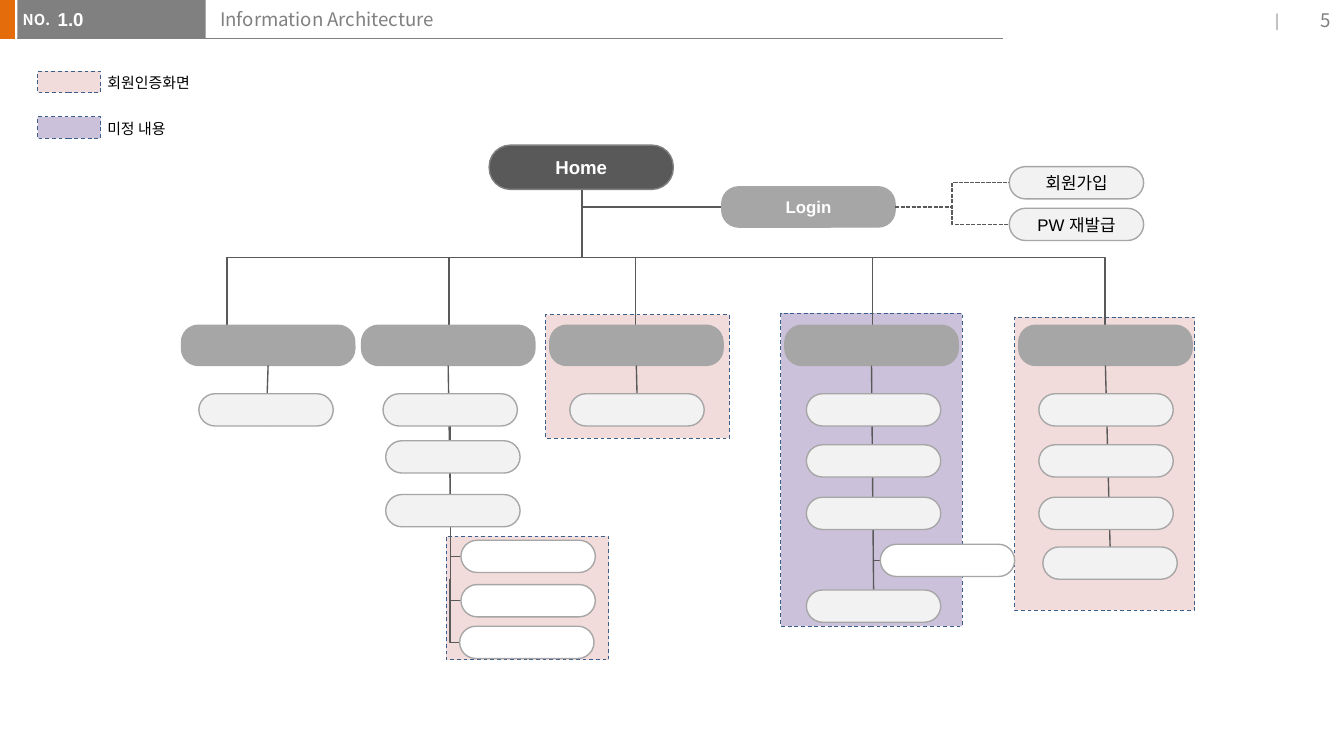
from dataclasses import dataclass

from lxml import etree
from pptx import Presentation
from pptx.dml.color import RGBColor
from pptx.enum.dml import MSO_LINE
from pptx.enum.shapes import MSO_CONNECTOR, MSO_SHAPE
from pptx.enum.text import MSO_ANCHOR, PP_ALIGN
from pptx.oxml.ns import qn
from pptx.util import Inches, Pt

RECT, ROUNDED = MSO_SHAPE.RECTANGLE, MSO_SHAPE.ROUNDED_RECTANGLE
STRAIGHT, ELBOW = MSO_CONNECTOR.STRAIGHT, MSO_CONNECTOR.ELBOW
DASH, SHORT_DASH = MSO_LINE.DASH, MSO_LINE.SQUARE_DOT
LEFT, CENTER, RIGHT = PP_ALIGN.LEFT, PP_ALIGN.CENTER, PP_ALIGN.RIGHT
TOP, MIDDLE = MSO_ANCHOR.TOP, MSO_ANCHOR.MIDDLE
TOP_SITE, BOTTOM_SITE = 0, 2


@dataclass(frozen=True)
class Theme:
    """Colours, fonts and type sizes of the slide."""
    orange: str = "E46C0A"
    gray: str = "808080"
    dark: str = "595959"
    section: str = "A6A6A6"
    page: str = "F2F2F2"
    white: str = "FFFFFF"
    black: str = "000000"
    member: str = "F2DCDB"
    undecided: str = "CCC1DA"
    panel_edge: str = "3A5F8C"
    latin: str = "Arial"
    korean: str = "Noto Sans CJK KR"
    heading: int = 10
    label: int = 9
    small: int = 8


THEME = Theme()
SECTION_TOP, SECTION_SIZE = 2.42, (1.29, 0.3)
PAGE_SIZE = (1, 0.24)
HOME_BASE = (4.33, 1.41)


def write(frame, text, size, color, font=THEME.latin, bold=False, align=LEFT, before=0):
    """Add one run of styled text to the first paragraph."""
    paragraph = frame.paragraphs[0]
    paragraph.alignment = align
    paragraph.space_before = Pt(before)
    run = paragraph.add_run()
    run.text = text
    run.font.name, run.font.size, run.font.bold = font, Pt(size), bold
    run.font.color.rgb = RGBColor.from_string(color)
    etree.SubElement(run.font._element, qn("a:ea")).set("typeface", THEME.korean)


def add_label(slide, box, text, size, color, inset=(0.1, 0.05), wrap=True, anchor=TOP, **style):
    """Add a text box holding one run."""
    frame = slide.shapes.add_textbox(*map(Inches, box)).text_frame
    frame.word_wrap, frame.vertical_anchor = wrap, anchor
    frame.margin_left = frame.margin_right = Inches(inset[0])
    frame.margin_top = frame.margin_bottom = Inches(inset[1])
    write(frame, text, size, color, **style)


def add_block(slide, box, fill, edge=None, width=0.5, dash=None, kind=RECT):
    """Add a filled shape, outlined only when an edge colour is given."""
    block = slide.shapes.add_shape(kind, *map(Inches, box))
    block.shadow.inherit = False
    block.fill.solid()
    block.fill.fore_color.rgb = RGBColor.from_string(fill)
    if edge is None:
        block.line.fill.background()
    else:
        block.line.color.rgb = RGBColor.from_string(edge)
        block.line.width = Pt(width)
        block.line.dash_style = dash
    return block


def add_panel(slide, box, fill):
    """Add a dashed panel marking a group of screens."""
    return add_block(slide, box, fill, THEME.panel_edge, dash=DASH)


def add_node(slide, box, fill, edge=THEME.section, rounding=0.5, text="", **style):
    """Add a rounded node of the tree with an optional centred label."""
    node = add_block(slide, box, fill, edge, 0.75, kind=ROUNDED)
    node.adjustments[0] = rounding
    frame = node.text_frame
    frame.vertical_anchor = MIDDLE
    frame.margin_left = frame.margin_right = Inches(0.02)
    frame.margin_top = frame.margin_bottom = Inches(0.02)
    if text:
        write(frame, text, align=CENTER, before=1, **style)
    return node


def add_section(slide, left, top=SECTION_TOP, **label):
    """Add a gray section node."""
    return add_node(slide, (left, top, *SECTION_SIZE), THEME.section, rounding=0.42, **label)


def add_page(slide, left, top, fill=THEME.page, **label):
    """Add a page node."""
    return add_node(slide, (left, top, *PAGE_SIZE), fill, **label)


def add_link(slide, start, end, kind=STRAIGHT, color=THEME.dark, width=0.75, dash=None):
    """Add a shadowless connector between two points."""
    link = slide.shapes.add_connector(kind, *map(Inches, (*start, *end)))
    link.line.color.rgb = RGBColor.from_string(color)
    link.line.width = Pt(width)
    link.line.dash_style = dash
    etree.SubElement(link._element.spPr, qn("a:effectLst"))
    return link


def add_drop(slide, start, end, single_bend=False):
    """Add an elbow that leaves its start downwards."""
    (x1, y1), (x2, y2) = start, end
    middle_x, middle_y = (x1 + x2) / 2, (y1 + y2) / 2
    half_drop, half_span = (y2 - y1) / 2, abs(x2 - x1) / 2
    turn = 1 if x2 < x1 else -1
    link = add_link(slide, (middle_x - turn * half_drop, middle_y - half_span),
                    (middle_x + turn * half_drop, middle_y + half_span), ELBOW)
    properties = link._element.spPr
    properties.find(qn("a:xfrm")).set("rot", str(turn * 90 % 360 * 60000))
    if single_bend:
        properties.find(qn("a:prstGeom")).set("prst", "bentConnector2")


def add_column(slide, section_left, pages, stem_end=None):
    """Add a section with its pages on one line, glued to the last page by default."""
    section = add_section(slide, section_left)
    *upper_pages, last_page = pages
    stem = add_link(slide, (section_left, SECTION_TOP), stem_end or last_page)
    stem.begin_connect(section, BOTTOM_SITE)
    last = add_page(slide, *last_page)
    if stem_end is None:
        stem.end_connect(last, TOP_SITE)
    for left, top in upper_pages:
        add_page(slide, left, top)


def add_header(slide):
    """Add the title bar with section number, title and page number."""
    add_block(slide, (-0.01, 0, 0.12, 0.29), THEME.orange)
    add_link(slide, (0.13, 0.29), (7.46, 0.29), color=THEME.gray, width=0.5)
    add_block(slide, (0.13, 0, 1.4, 0.29), THEME.gray)
    add_label(slide, (0.07, 0.03, 0.41, 0.24), "NO.", THEME.small, THEME.white,
              wrap=False, font=THEME.korean, bold=True)
    add_label(slide, (0.43, 0.01, 1.1, 0.31), "1.0", THEME.heading, THEME.white,
              inset=(0, 0.05), bold=True, before=2)
    add_label(slide, (1.54, 0.02, 5.91, 0.32), "Information Architecture", THEME.heading,
              THEME.gray, inset=(0.1, 0.04), font=THEME.korean)
    add_label(slide, (9.39, 0, 0.24, 0.3), "|", THEME.small, THEME.gray,
              anchor=MIDDLE, font=THEME.korean)
    add_label(slide, (9.4, 0, 0.6, 0.3), "5", THEME.heading, THEME.gray,
              anchor=MIDDLE, font=THEME.korean, align=RIGHT)


def add_legend(slide):
    """Add the key to the panel colours."""
    entries = [("회원인증화면", THEME.member, 0.53, 0.88), ("미정 내용", THEME.undecided, 0.87, 0.73)]
    for meaning, fill, top, width in entries:
        add_panel(slide, (0.28, top, 0.47, 0.16), fill)
        add_label(slide, (0.7, top - 0.03, width, 0.24), meaning, THEME.small, THEME.black,
                  wrap=False, font=THEME.korean)


def add_login(slide):
    """Add the home and login nodes with the account pages."""
    add_drop(slide, HOME_BASE, (5.37, 1.54), single_bend=True)
    add_node(slide, (3.64, 1.08, 1.37, 0.33), THEME.dark, THEME.gray, 0.48,
             text="Home", size=THEME.heading, color=THEME.white, bold=True)
    add_section(slide, 5.37, 1.39, text="Login", size=THEME.label, color=THEME.white, bold=True)
    for name, top in [("회원가입", 1.24), ("PW 재발급", 1.55)]:
        add_link(slide, (6.66, 1.54), (7.51, top + PAGE_SIZE[1] / 2), ELBOW, dash=SHORT_DASH)
        add_page(slide, 7.51, top, text=name, size=THEME.label, color=THEME.black)


def add_tree(slide):
    """Add the panels, sections, pages and subpages."""
    panels = [((5.81, 2.33, 1.35, 2.33), THEME.undecided), ((3.32, 3.99, 1.21, 0.92), THEME.member),
              ((7.55, 2.36, 1.34, 2.18), THEME.member), ((4.06, 2.34, 1.37, 0.92), THEME.member)]
    for box, fill in panels:
        add_panel(slide, box, fill)
    for branch_x in (1.69, 3.34, 4.73, 6.49, 8.22):
        add_drop(slide, HOME_BASE, (branch_x, SECTION_TOP))
    subpages = [(3.35, 3.17, 3.43, 4.02), (3.35, 3.84, 3.43, 4.35),
                (3.35, 4.31, 3.42, 4.66), (6.5, 3.94, 6.55, 4.05)]
    for stem_x, stem_y, left, top in subpages:
        add_drop(slide, (stem_x, stem_y), (left, top + PAGE_SIZE[1] / 2), single_bend=True)
        add_page(slide, left, top, THEME.white)
    add_column(slide, 1.35, [(1.48, 2.93)], stem_end=(1.98, 3.17))
    add_column(slide, 2.69, [(2.85, 2.93), (2.87, 3.28), (2.87, 3.68)], stem_end=(3.35, 3.7))
    add_column(slide, 4.09, [(4.24, 2.93)])
    add_column(slide, 5.84, [(6, 2.93), (6, 3.31), (6, 3.7), (6, 4.39)])
    add_column(slide, 7.58, [(7.73, 2.93), (7.73, 3.31), (7.73, 3.7), (7.76, 4.07)])


def main():
    """Build and save the slide."""
    deck = Presentation()
    deck.slide_width, deck.slide_height = Inches(10), Inches(10 * 9 / 16)
    slide = deck.slides.add_slide(deck.slide_layouts[6])
    add_header(slide)
    add_legend(slide)
    add_tree(slide)
    add_login(slide)
    deck.save("out.pptx")


if __name__ == "__main__":
    main()
